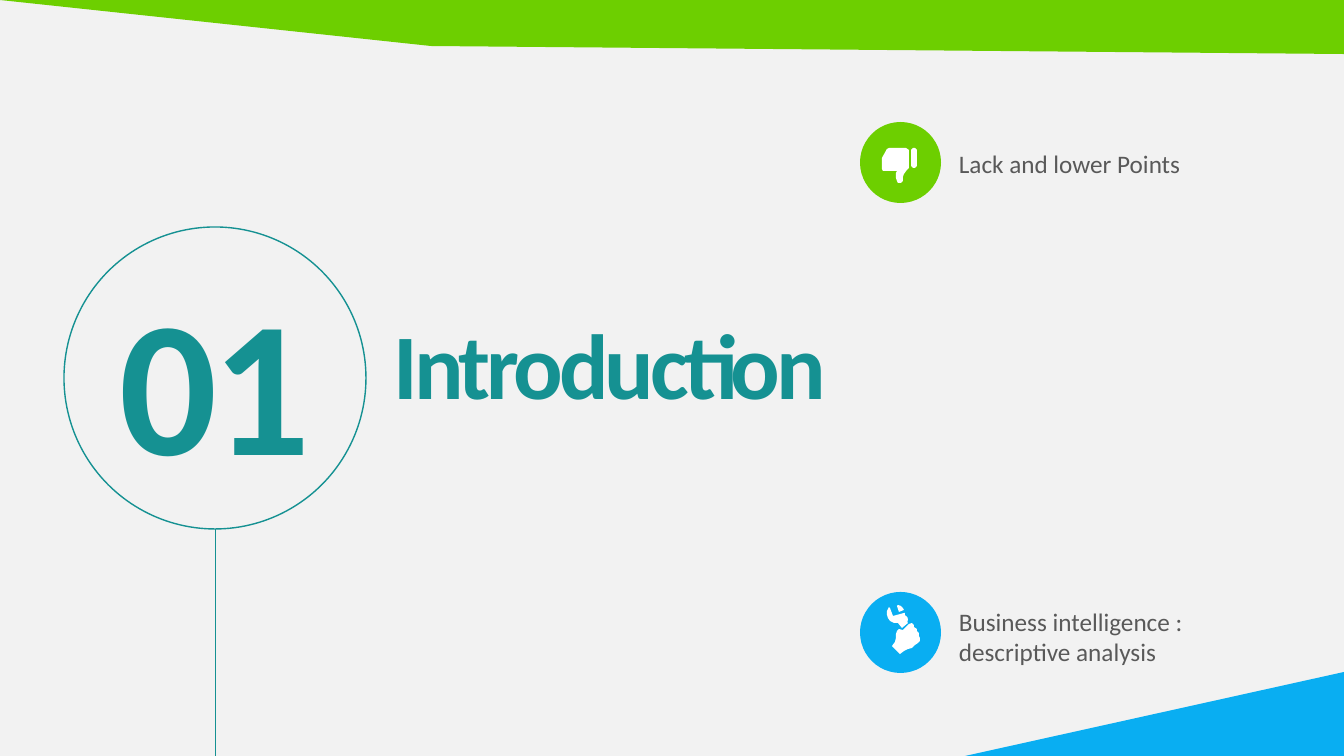
from pptx import Presentation
from pptx.dml.color import RGBColor
from pptx.enum.shapes import MSO_CONNECTOR, MSO_SHAPE
from pptx.enum.text import MSO_ANCHOR, MSO_AUTO_SIZE, PP_ALIGN
from pptx.oxml.ns import qn
from pptx.util import Emu, Pt
from lxml.etree import SubElement

WIDTH, HEIGHT = 1344, 756
SCALE = 12192000 / WIDTH
FONT = "Calibri"
COLORS = {
    "page": "F2F2F2",
    "teal": "159192",
    "green": "6DCF00",
    "blue": "09AEF2",
    "gray": "595959",
    "white": "FFFFFF",
}

TITLE = "Introduction"
NUMBER = "01"
RING = (64, 227, 302)
NUMBER_INSET = 29
BADGE_LEFT, BADGE_SIZE = 860, 81
LABEL_LEFT, LABEL_WIDTH, LABEL_HEIGHT = 949, 283, 72
TOPICS = [
    {"text": "Lack and lower Points", "color": "green", "badge_top": 122, "label_top": 143},
    {"text": "Business intelligence : descriptive analysis", "color": "blue",
     "badge_top": 592, "label_top": 601},
]

TOP_BAND = [(0, 0), (WIDTH, 0), (WIDTH, 54), (431, 46)]
CORNER = (965, 672)
WRENCH_BOLT = (899, 615, 9, 9)
ICON_OUTLINES = {
    "thumb": [(901, 183), (898, 183), (897, 181), (896, 178), (896, 173), (897, 171),
              (883, 171), (882, 169), (882, 158), (887, 149), (889, 148), (906, 148),
              (909, 150), (909, 168), (907, 170), (904, 174), (903, 177), (903, 181)],
    "cuff": [(913, 148), (915, 148), (917, 150), (917, 166),
             (915, 168), (913, 168), (911, 166), (911, 150)],
    "hand": [(912, 623), (914, 625), (914, 627), (917, 629), (917, 631), (919, 633),
             (919, 636), (920, 638), (920, 641), (918, 643), (915, 645), (912, 648),
             (908, 649), (904, 651), (900, 654), (892, 646), (895, 642), (896, 638),
             (896, 634), (897, 631), (899, 629), (903, 630), (909, 624)],
    "jaw": [(898, 605), (901, 606), (903, 608), (904, 610), (899, 612), (897, 606)],
    "wrench": [(889, 607), (890, 608), (893, 616), (904, 613), (905, 613), (905, 616),
               (904, 618), (908, 623), (902, 628), (898, 623), (894, 623), (890, 621),
               (888, 618), (887, 615), (887, 611), (888, 609)],
}


def px(value):
    return Emu(round(value * SCALE))


def rgb(name):
    return RGBColor.from_string(COLORS[name])


def paint(shape, color):
    shape.shadow.inherit = False
    shape.fill.solid()
    shape.fill.fore_color.rgb = rgb(color)
    shape.line.fill.background()


def add_filled(slide, kind, bounds, color):
    shape = slide.shapes.add_shape(kind, *map(px, bounds))
    paint(shape, color)
    return shape


def add_outline(slide, points, color):
    builder = slide.shapes.build_freeform(*points[0], scale=SCALE)
    builder.add_line_segments(points[1:], close=True)
    paint(builder.convert_to_shape(), color)


def write(box, text, size, color, align=PP_ALIGN.LEFT, anchor=MSO_ANCHOR.TOP,
          bold=False, spacing=0):
    frame = box.text_frame
    frame.text = text
    frame.word_wrap = True
    frame.auto_size = MSO_AUTO_SIZE.NONE
    frame.vertical_anchor = anchor
    para = frame.paragraphs[0]
    para.alignment = align
    span = para.runs[0]
    span.font.name = FONT
    span.font.size = Pt(size)
    span.font.bold = bold
    span.font.color.rgb = rgb(color)
    if spacing:
        span.font._element.set("spc", str(spacing * 100))


def add_section_number(slide):
    left, top, size = RING
    ring = slide.shapes.add_shape(MSO_SHAPE.OVAL, *map(px, (left, top, size, size)))
    ring.shadow.inherit = False
    ring.fill.background()
    ring.line.color.rgb = rgb("teal")
    ring.line.width = Pt(1)

    inner = size - 2 * NUMBER_INSET
    bounds = (left + NUMBER_INSET, top + NUMBER_INSET, inner, inner)
    box = slide.shapes.add_textbox(*map(px, bounds))
    write(box, NUMBER, 138, "teal", PP_ALIGN.CENTER, MSO_ANCHOR.MIDDLE, True, -3)

    center = left + size / 2
    stem = slide.shapes.add_connector(
        MSO_CONNECTOR.STRAIGHT, *map(px, (center, top + size, center, HEIGHT)))
    stem.line.color.rgb = rgb("teal")
    stem.line.width = Pt(0.5)
    SubElement(stem._element.spPr, qn("a:effectLst"))


def add_topic(slide, topic):
    badge = (BADGE_LEFT, topic["badge_top"], BADGE_SIZE, BADGE_SIZE)
    add_filled(slide, MSO_SHAPE.OVAL, badge, topic["color"])
    label = (LABEL_LEFT, topic["label_top"], LABEL_WIDTH, LABEL_HEIGHT)
    write(slide.shapes.add_textbox(*map(px, label)), topic["text"], 18, "gray")


def main():
    deck = Presentation()
    deck.slide_width, deck.slide_height = px(WIDTH), px(HEIGHT)
    page = deck.slides.add_slide(deck.slide_layouts[5])
    page.background.fill.solid()
    page.background.fill.fore_color.rgb = rgb("page")

    add_outline(page, TOP_BAND, "green")
    left, top = CORNER
    corner = add_filled(page, MSO_SHAPE.RIGHT_TRIANGLE,
                        (left, top, WIDTH - left, HEIGHT - top), "blue")
    corner._element.spPr.xfrm.set("flipH", "1")

    add_section_number(page)
    title = page.shapes.title
    title.left, title.top, title.width, title.height = map(px, (354, 302, 482, 122))
    write(title, TITLE, 66, "teal", PP_ALIGN.RIGHT, MSO_ANCHOR.MIDDLE, True, -3)

    for topic in TOPICS:
        add_topic(page, topic)
    add_filled(page, MSO_SHAPE.OVAL, WRENCH_BOLT, "white")
    for outline in ICON_OUTLINES.values():
        add_outline(page, outline, "white")

    deck.save("out.pptx")


if __name__ == "__main__":
    main()
